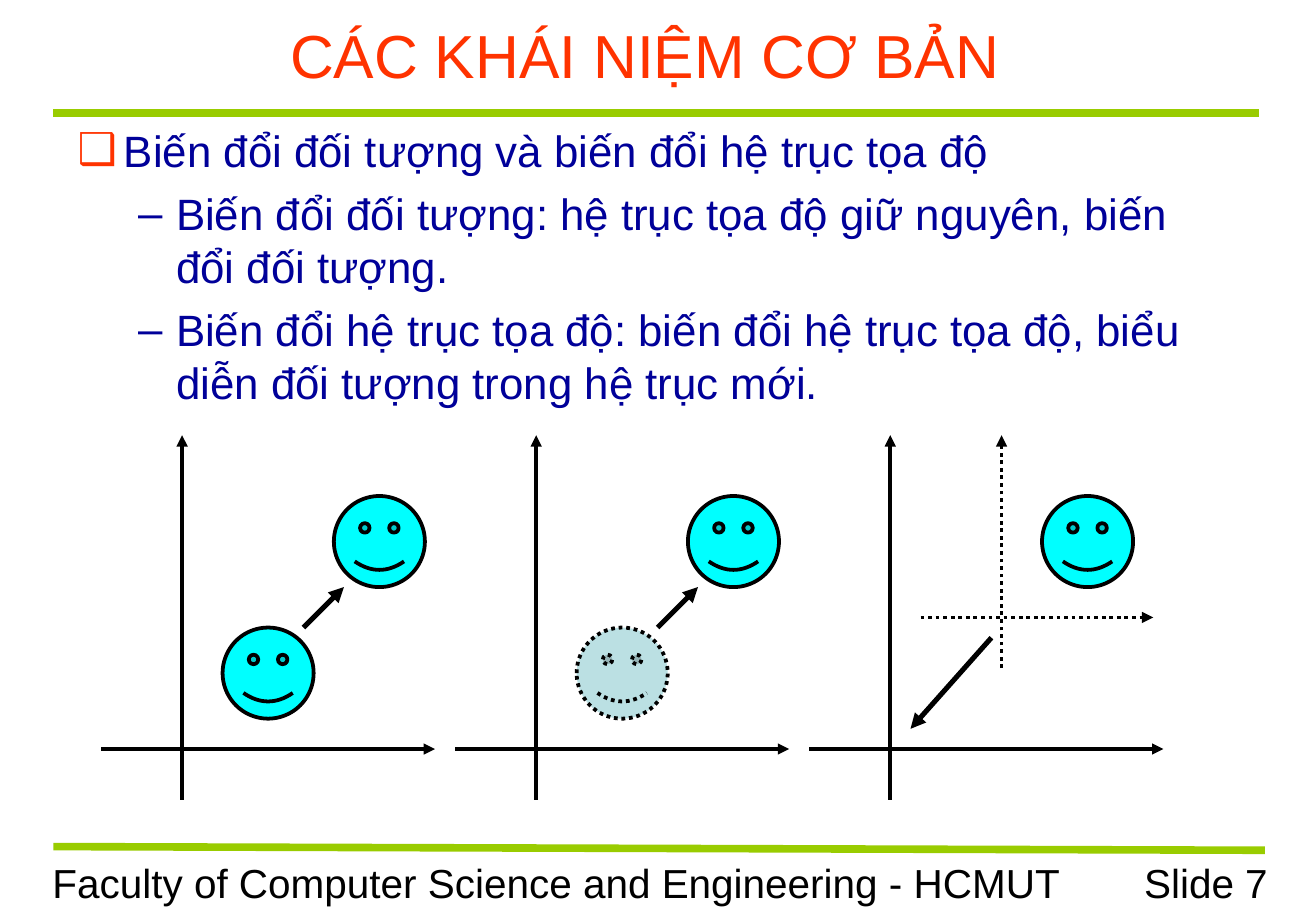
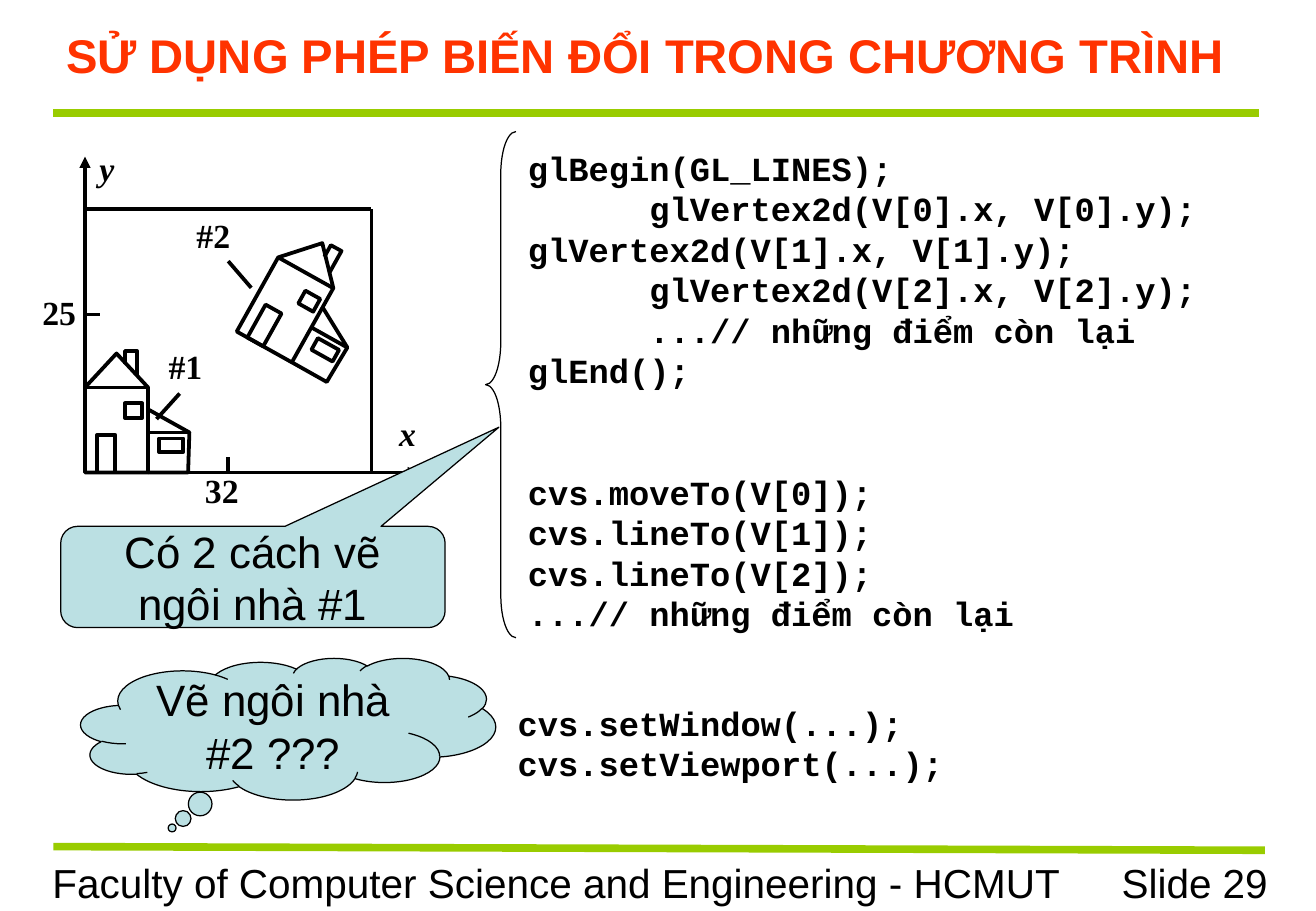
from dataclasses import dataclass
from math import cos, radians, sin

from lxml.etree import SubElement as Sub
from pptx import Presentation
from pptx.dml.color import RGBColor as RGB
from pptx.enum.dml import MSO_LINE as Dash
from pptx.enum.shapes import MSO_CONNECTOR as Conn, MSO_SHAPE as Kind
from pptx.enum.text import MSO_ANCHOR as Anchor, MSO_AUTO_SIZE as Fit, PP_ALIGN as Align
from pptx.oxml.ns import qn
from pptx.util import Inches, Pt


@dataclass(frozen=True)
class Theme:
    ink: str = "000000"
    title: str = "FF3300"
    body: str = "000099"
    rule: str = "99CC00"
    cyan: str = "00FFFF"
    pale: str = "BBE0E3"
    sans: str = "Arial"
    mono: str = "Courier New"
    serif: str = "Times New Roman"
    head: int = 36
    subhead: int = 28
    text: int = 26
    foot: int = 24
    small: int = 20
    hair: float = 0.75
    thin: float = 2.25
    bold: float = 3
    band: float = 4.5


T = Theme()
CELL = Inches(1) // 12  # all positions count cells of a twelfth of an inch


def line(slide, start, end, width=T.thin, color=T.ink, arrow=False, dash=None):
    """Draw a straight line between two grid points."""
    ends = [int(v * CELL) for v in (*start, *end)]
    conn = slide.shapes.add_connector(Conn.STRAIGHT, *ends)
    conn.line.width = Pt(width)
    conn.line.color.rgb = RGB.from_string(color)
    if dash:
        conn.line.dash_style = dash
    if arrow:
        Sub(conn.line._get_or_add_ln(), qn("a:tailEnd"), type="triangle")
    Sub(conn._element.spPr, qn("a:effectLst"))


def put(slide, kind, box, rows=(), size=T.text, font=T.sans, color=T.ink,
        align=Align.LEFT, bold=False, italic=False, fill=None, width=T.hair, dash=None):
    """Place the title, a text box (kind None) or a preset shape, with its text."""
    box = [int(v * CELL) for v in box]
    if kind == "title":
        shape = slide.shapes.title
        shape.left, shape.top, shape.width, shape.height = box
    elif kind is None:
        shape = slide.shapes.add_textbox(*box)
    else:
        shape = slide.shapes.add_shape(kind, *box)
        shape.shadow.inherit = False
        shape.line.width = Pt(width)
        shape.line.color.rgb = RGB.from_string(T.ink)
        if dash:
            shape.line.dash_style = dash
        if fill:
            shape.fill.solid()
            shape.fill.fore_color.rgb = RGB.from_string(fill)
        else:
            shape.fill.background()
    frame = shape.text_frame
    frame.word_wrap = True
    frame.auto_size = Fit.NONE
    frame.vertical_anchor = Anchor.MIDDLE if kind else Anchor.TOP
    for i, row in enumerate(rows):
        para = frame.add_paragraph() if i else frame.paragraphs[0]
        para.alignment = align
        run = para.add_run()
        run.text = row
        run.font.size, run.font.name = Pt(size), font
        run.font.bold, run.font.italic = bold, italic
        run.font.color.rgb = RGB.from_string(color)
    return shape


deck = Presentation()
deck.slide_width, deck.slide_height = Inches(10.84), Inches(7.5)

# Shared frame: title, green rules, footer
heads = (
    ("CÁC KHÁI NIỆM CƠ BẢN", T.head, False, 7),
    ("SỬ DỤNG PHÉP BIẾN ĐỔI TRONG CHƯƠNG TRÌNH", T.subhead, True, 29),
)
for head, size, bold, num in heads:
    slide = deck.slides.add_slide(deck.slide_layouts[5])
    put(slide, "title", (4, 1.2, 119.5, 8.4), [head], size, color=T.title,
        align=Align.CENTER, bold=bold)
    line(slide, (5.28, 11.16), (124.44, 11.16), T.band, T.rule)
    line(slide, (5.28, 83.64), (125.04, 84), T.band, T.rule)
    put(slide, None, (4, 84.2, 102.2, 6),
        ["Faculty of Computer Science and Engineering - HCMUT"], T.foot)
    put(slide, None, (102.6, 84.2, 23.9, 6), [f"Slide {num}"], T.foot, align=Align.RIGHT)
basics, usage = deck.slides

# Slide 1: bulleted text
body = put(basics, None, (6.5, 11.6, 117, 30.4), [
    "Biến đổi đối tượng và biến đổi hệ trục tọa độ",
    "Biến đổi đối tượng: hệ trục tọa độ giữ nguyên, biến đổi đối tượng.",
    "Biến đổi hệ trục tọa độ: biến đổi hệ trục tọa độ, biểu diễn đối tượng trong hệ trục mới.",
], color=T.body)
dot = ("–", T.body, 0.81, -0.31)
bullets = (("❑", T.title, 0.38, -0.38), dot, dot)
for para, (char, color, left, hang) in zip(body.text_frame.paragraphs, bullets):
    para.space_before = Pt(6.5)
    props = para._p.get_or_add_pPr()
    props.set("marL", str(Inches(left)))
    props.set("indent", str(Inches(hang)))
    Sub(Sub(props, qn("a:buClr")), qn("a:srgbClr"), val=color)
    Sub(props, qn("a:buFont"), typeface=T.sans)
    Sub(props, qn("a:buChar"), char=char)

# Slide 1: three pairs of axes; the first two move the face
for x, reach, lower in ((18, 25, (T.cyan, None)),
                        (53, 25, (T.pale, Dash.ROUND_DOT)),
                        (88, 27, None)):
    line(basics, (x, 79), (x, 43), arrow=True)
    line(basics, (x - 8, 74), (x + reach, 74), arrow=True)
    put(basics, Kind.SMILEY_FACE, (x + 15, 49, 9, 9), fill=T.cyan, width=T.thin)
    if lower:
        fill, dash = lower
        put(basics, Kind.SMILEY_FACE, (x + 4, 62, 9, 9), fill=fill, width=T.thin, dash=dash)
        line(basics, (x + 12, 62), (x + 16, 58), T.bold, arrow=True)

# Slide 1: the third pair moves the axes
line(basics, (99, 66), (99, 43), arrow=True, dash=Dash.ROUND_DOT)
line(basics, (91, 61), (114, 61), arrow=True, dash=Dash.ROUND_DOT)
line(basics, (98, 63), (90, 72), T.bold, arrow=True)

# Slide 2: plot axes, frame, ticks and leaders
left, base, right, top = 8.4, 46.68, 36.72, 20.64
line(usage, (left, base), (41.4, base), arrow=True)
line(usage, (left, base), (left, 15.48), arrow=True)
for start, end in (
    ((right, base), (right, top)),
    ((left, top), (right, top)),
    ((22.56, base), (22.56, 45.12)),
    ((left, 31.08), (9.84, 31.08)),
    ((22.56, 25.8), (24.84, 28.44)),
    ((17.76, 38.88), (15.48, 41.4)),
):
    line(usage, start, end)

# Slide 2: one house, drawn upright and turned; points run right and up from its corner
house = (
    ((6.24, 0), (6.24, 8.4), (3.12, 11.76), (0, 8.4), (0, 0), (6.24, 0)),
    ((0, 8.4), (6.24, 8.4)),
    ((1.2, 0), (1.2, 3.72), (3, 3.72), (3, 0), (1.2, 0)),
    ((3.96, 6.84), (3.96, 5.4), (5.64, 5.4), (5.64, 6.84), (3.96, 6.84)),
    ((5.16, 9.6), (5.16, 12), (3.96, 12), (3.96, 10.68)),
    ((6.24, 6.24), (10.32, 3.96), (10.2, 0), (6.24, 0)),
    ((6.24, 3.96), (10.32, 3.96)),
    ((7.32, 2.04), (9.72, 2.04), (9.72, 3.36), (7.32, 3.36), (7.32, 2.04)),
)
FINE = 100  # outline steps per cell
for ox, oy, turn in ((left, base, 0), (23.4, 32.76, radians(29.2))):
    for part in house:
        spots = [(ox + x * cos(turn) + y * sin(turn), oy + x * sin(turn) - y * cos(turn))
                 for x, y in part]
        if len(spots) == 2:
            line(usage, *spots)
            continue
        steps = [(round(x * FINE), round(y * FINE)) for x, y in spots]
        pen = usage.shapes.build_freeform(*steps[0], scale=CELL / FINE)
        pen.add_line_segments(steps[1:], close=part[0] == part[-1])
        wall = pen.convert_to_shape()
        wall.shadow.inherit = False
        wall.fill.background()
        wall.line.width = Pt(T.thin)
        wall.line.color.rgb = RGB.from_string(T.ink)

# Slide 2: plot labels
for label, x, y, width in (
    ("x", 38.28, 40.2, 4.68), ("y", 8.64, 14.04, 4.68),
    ("32", 19.08, 45.84, 9.48), ("25", 3, 28.2, 9.48),
    ("#1", 15.48, 33.6, 9.48), ("#2", 18.24, top, 9.48),
):
    put(usage, None, (x, y, width, 5.16), [label], T.small, T.serif,
        bold=True, italic=label in "xy")

# Slide 2: code; indented rows start one inch in
for box, rows, inset in (
    ((51, 14, 70, 25.2), (
        "glBegin(GL_LINES);",
        "glVertex2d(V[0].x, V[0].y);",
        "glVertex2d(V[1].x, V[1].y);",
        "glVertex2d(V[2].x, V[2].y);",
        "...// những điểm còn lại",
        "glEnd();",
    ), (1, 3, 4)),
    ((51, 46, 54, 17.3), (
        "cvs.moveTo(V[0]);",
        "cvs.lineTo(V[1]);",
        "cvs.lineTo(V[2]);",
        "...// những điểm còn lại",
    ), ()),
    ((50, 68.8, 48, 9.2), ("cvs.setWindow(...);", "cvs.setViewport(...);"), ()),
):
    code = put(usage, None, box, rows, T.small, T.mono, bold=True)
    for i in inset:
        code.text_frame.paragraphs[i]._p.get_or_add_pPr().set("marL", str(Inches(1)))

# Slide 2: brace and callouts
brace = put(usage, Kind.LEFT_BRACE, (48, 13, 3, 50))
brace.adjustments[0] = 1.39
for kind, box, note, tip in (
    (Kind.ROUNDED_RECTANGULAR_CALLOUT, (6, 52, 38, 10),
     "Có 2 cách vẽ ngôi nhà #1", (0.64, -1.48)),
    (Kind.CLOUD_CALLOUT, (8, 65, 41, 14), "Vẽ ngôi nhà #2 ???", (-0.28, 0.7)),
):
    bubble = put(usage, kind, box, [note], align=Align.CENTER, fill=T.pale)
    bubble.adjustments[0], bubble.adjustments[1] = tip

deck.save("out.pptx")
